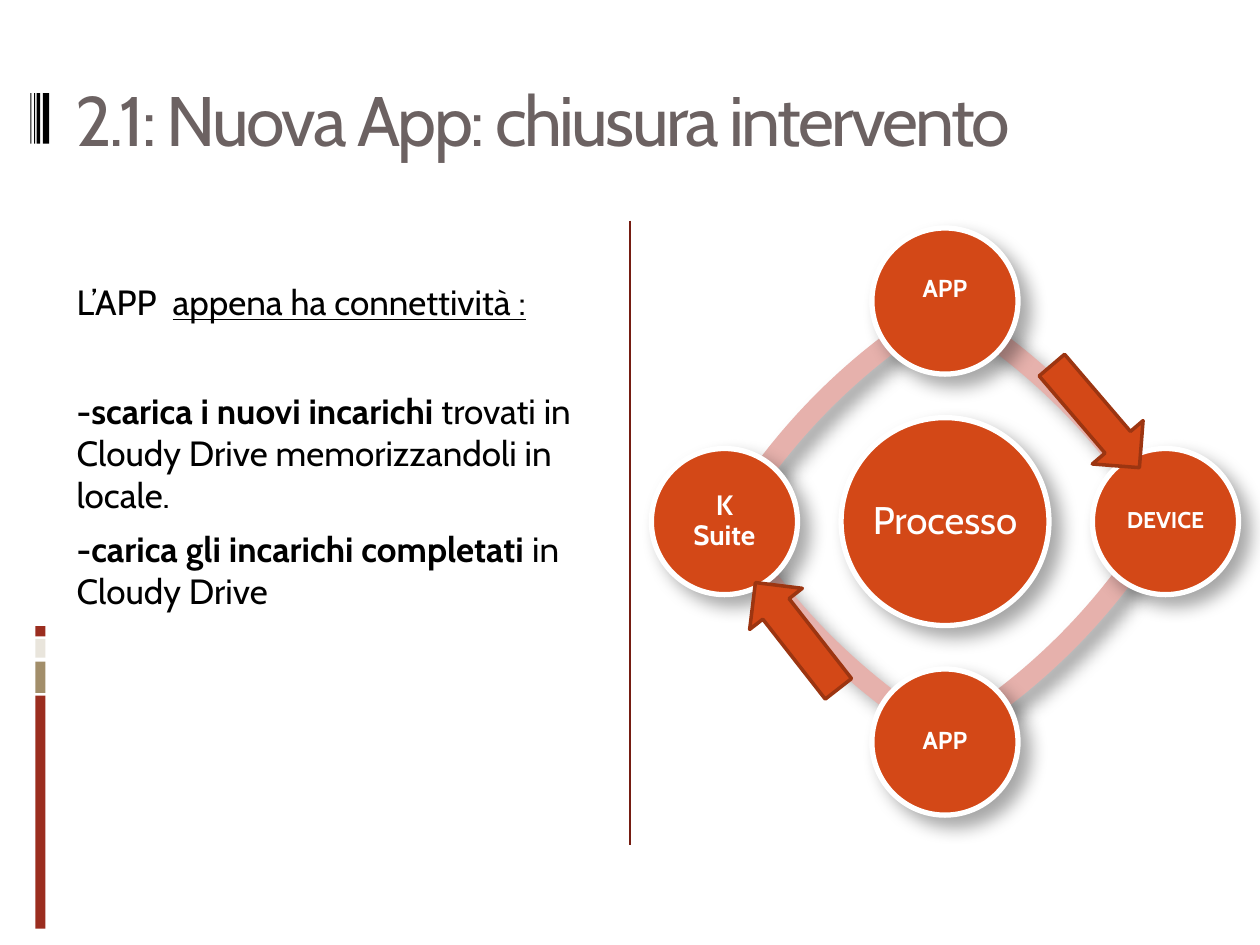
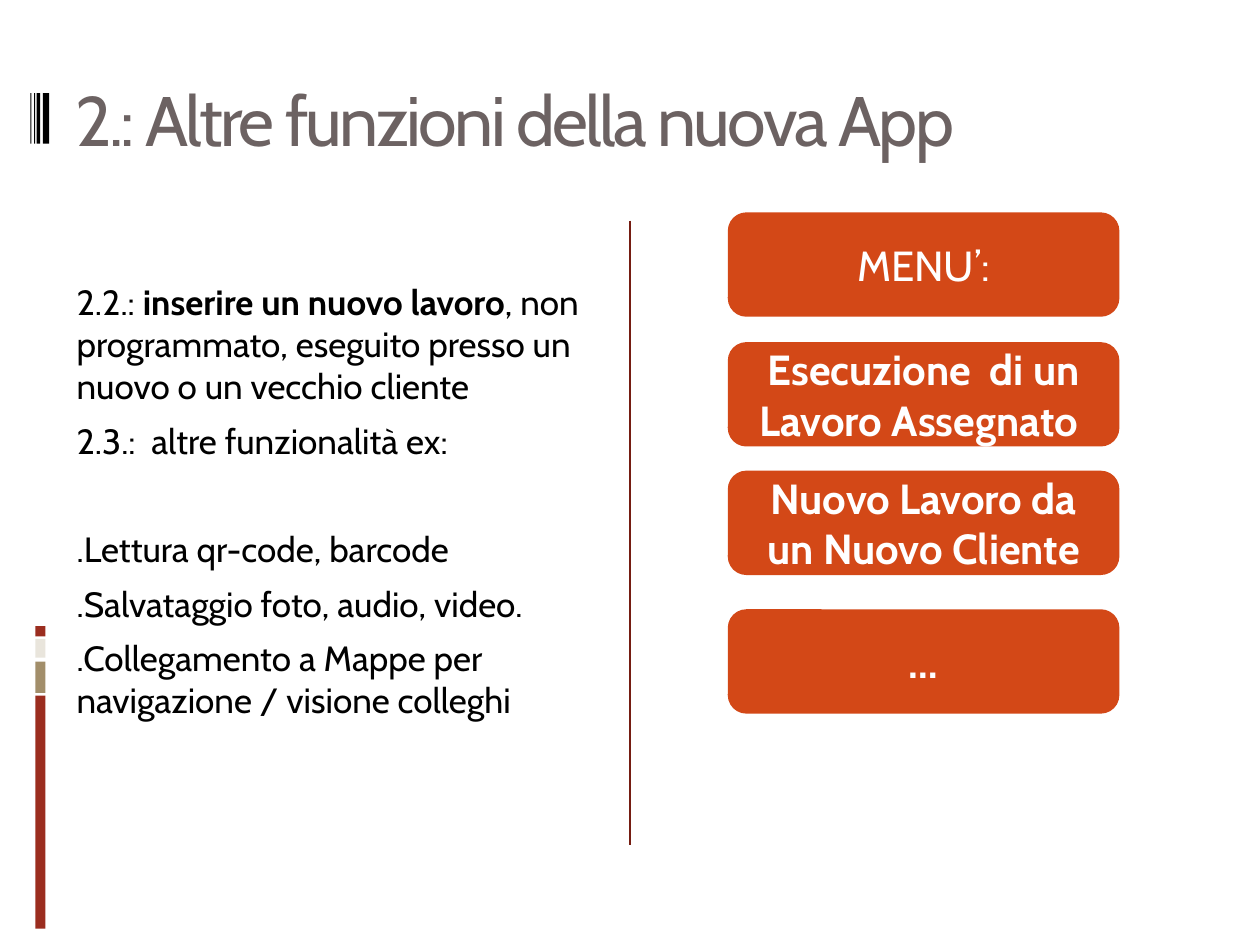
from dataclasses import dataclass
from math import cos, radians, sin

from lxml.etree import SubElement
from pptx import Presentation
from pptx.dml.color import RGBColor
from pptx.enum.shapes import MSO_CONNECTOR, MSO_SHAPE
from pptx.enum.text import MSO_ANCHOR, PP_ALIGN
from pptx.oxml.ns import qn
from pptx.util import Inches, Pt


@dataclass(frozen=True)
class Theme:
    font: str = "Cabin"
    title_color: str = "6C6262"
    text_color: str = "000000"
    white: str = "FFFFFF"
    accent: str = "D34817"
    accent_dark: str = "9C3511"
    ring: str = "E6B1AC"
    divider: str = "751D12"
    red: str = "9B2D1F"
    tan: str = "A28E6A"
    cream: str = "E9E5DC"
    title_size: int = 40
    body_size: int = 20
    menu_size: int = 24
    hub_size: int = 22
    paragraph_gap: int = 7
    blank_line_gap: int = 38


class Deck:
    """Holds the theme and the slide being built."""

    def __init__(self, theme):
        self.theme = theme
        self.presentation = Presentation()
        self.presentation.slide_width = Inches(10)
        self.presentation.slide_height = Inches(7.5)
        self.slide = None

    def new_slide(self, title):
        self.slide = self.presentation.slides.add_slide(self.presentation.slide_layouts[6])
        theme = self.theme
        # Coloured bars at the lower left: top, height, colour
        for top, height, color in [(5.52, 1.85, theme.red), (5.25, 0.25, theme.tan),
                                   (5.07, 0.15, theme.cream), (4.97, 0.08, theme.red)]:
            self.shape(MSO_SHAPE.RECTANGLE, 0.28, top, 0.08, height, color)
        # Black stripes beside the title: left, width
        for left, width in [(0.34, 0.05), (0.29, 0.03), (0.27, 0.01), (0.24, 0.01)]:
            self.shape(MSO_SHAPE.RECTANGLE, left, 0.74, width, 0.4, theme.text_color)
        self.line(5, 1.75, 5, 6.71, theme.divider, 0.75)
        self.title(title)

    def shape(self, kind, left, top, width, height, fill, line=None, line_width=2):
        shape = self.slide.shapes.add_shape(
            kind, Inches(left), Inches(top), Inches(width), Inches(height))
        shape.shadow.inherit = False
        shape.fill.solid()
        shape.fill.fore_color.rgb = RGBColor.from_string(fill)
        if line:
            shape.line.color.rgb = RGBColor.from_string(line)
            shape.line.width = Pt(line_width)
        else:
            shape.line.fill.background()
        return shape

    def line(self, left, top, right, bottom, color, width):
        connector = self.slide.shapes.add_connector(
            MSO_CONNECTOR.STRAIGHT, Inches(left), Inches(top), Inches(right), Inches(bottom))
        connector.line.color.rgb = RGBColor.from_string(color)
        connector.line.width = Pt(width)
        SubElement(connector.element.spPr, qn("a:effectLst"))

    def text_box(self, left, top, width, height):
        box = self.slide.shapes.add_textbox(
            Inches(left), Inches(top), Inches(width), Inches(height))
        box.text_frame.word_wrap = True
        return box

    def style(self, paragraph, size, color, bold=None):
        paragraph.font.name = self.theme.font
        paragraph.font.size = Pt(size)
        paragraph.font.color.rgb = RGBColor.from_string(color)
        paragraph.font.bold = bold

    def title(self, text):
        box = self.text_box(0.5, 0.23, 9, 1.42)
        box.text_frame.vertical_anchor = MSO_ANCHOR.MIDDLE
        paragraph = box.text_frame.paragraphs[0]
        paragraph.text = text
        self.style(paragraph, self.theme.title_size, self.theme.title_color)
        for run in box.element.iter(qn("a:r")):
            run.get_or_add_rPr().set("spc", "-150")

    def body(self, paragraphs):
        """Each paragraph is (gap before, [(text, run style), ...])."""
        frame = self.text_box(0.51, 2.18, 4.42, 4.52).text_frame
        for index, (gap, runs) in enumerate(paragraphs):
            paragraph = frame.add_paragraph() if index else frame.paragraphs[0]
            paragraph.space_before = Pt(gap)
            self.style(paragraph, self.theme.body_size, self.theme.text_color)
            for text, run_style in runs:
                run = paragraph.add_run()
                run.text = text
                if run_style == "bold":
                    run.font.bold = True
                elif run_style == "underline":
                    run.font.underline = True

    def label(self, shape, text, size, bold):
        frame = shape.text_frame
        frame.word_wrap = True
        frame.vertical_anchor = MSO_ANCHOR.MIDDLE
        paragraph = frame.paragraphs[0]
        paragraph.text = text
        paragraph.alignment = PP_ALIGN.CENTER
        self.style(paragraph, size, self.theme.white, bold)
        return frame

    def cast_shadow(self, shape):
        effects = shape.element.spPr.find(qn("a:effectLst"))
        shadow = SubElement(effects, qn("a:outerShdw"), blurRad=str(Pt(10.2)),
                            dist=str(Pt(8)), dir="2700000", algn="tl", rotWithShape="0")
        color = SubElement(shadow, qn("a:srgbClr"), val="000000")
        SubElement(color, qn("a:alpha"), val="35000")

    def circle(self, center_x, center_y, diameter, text, size, bold, inset, raise_by=0):
        shape = self.shape(MSO_SHAPE.OVAL, center_x - diameter / 2, center_y - diameter / 2,
                           diameter, diameter, self.theme.accent, self.theme.white, 3)
        self.cast_shadow(shape)
        frame = self.label(shape, text, size, bold)
        frame.margin_left = frame.margin_right = frame.margin_top = Pt(inset)
        frame.margin_bottom = Pt(inset + raise_by)
        frame.paragraphs[0].line_spacing = 0.9

    def ring_arc(self, center_x, center_y, start, end):
        diameter = 10.12
        arc = self.shape(MSO_SHAPE.BLOCK_ARC, center_x - diameter / 2, center_y - diameter / 2,
                         diameter, diameter, self.theme.ring)
        # Angles are stored in 60000ths of a degree, adjustments in 100000ths
        arc.adjustments[0] = start * 0.6
        arc.adjustments[1] = end * 0.6
        arc.adjustments[2] = 0.016
        self.cast_shadow(arc)

    def arrow(self, left, top, rotation):
        arrow = self.shape(MSO_SHAPE.RIGHT_ARROW, left, top, 1.07, 0.53,
                           self.theme.accent, self.theme.accent_dark)
        arrow.rotation = rotation

    def menu_button(self, top, text, bold):
        button = self.shape(MSO_SHAPE.ROUNDED_RECTANGLE, 5.79, top, 3.08, 0.8,
                            self.theme.accent, self.theme.accent)
        self.label(button, text, self.theme.menu_size, bold)


def build_process_slide(deck):
    theme = deck.theme
    deck.new_slide("2.1: Nuova App: chiusura intervento")
    deck.body([
        (0, [("L’APP  ", ""), ("appena ha connettività :", "underline")]),
        (theme.blank_line_gap, [("-scarica i nuovi incarichi ", "bold"),
                                ("trovati in Cloudy Drive memorizzandoli in locale.", "")]),
        (theme.paragraph_gap, [("-carica gli incarichi completati ", "bold"),
                               ("in Cloudy Drive", "")]),
    ])

    # Ring: each arc is centred diagonally across from the part it draws
    hub_x, hub_y, offset = 7.5, 4.14, 2.56
    for side_x, side_y, middle in [(1, 1, 225), (1, -1, 135), (-1, -1, 45), (-1, 1, 315)]:
        deck.ring_arc(hub_x + side_x * offset, hub_y + side_y * offset,
                      middle - 14.3, middle + 14.3)

    # Hub and its four steps, clockwise from the top
    deck.circle(hub_x, hub_y, 1.65, "Processo", theme.hub_size, False, 0)
    steps = [("APP", 14, 13), ("DEVICE", 13, 0), ("APP", 14, 0), ("K Suite", 16, 0)]
    for index, (text, size, raise_by) in enumerate(steps):
        angle = radians(90 * index - 90)
        deck.circle(hub_x + 1.75 * cos(angle), hub_y + 1.75 * sin(angle), 1.16,
                    text, size, True, size / 2, raise_by)

    # Direction arrows
    deck.arrow(8.16, 3.04, 49.5)
    deck.arrow(5.79, 4.78, 232)


def build_functions_slide(deck):
    gap = deck.theme.paragraph_gap
    deck.new_slide("2.: Altre funzioni della nuova App")
    deck.body([
        (0, [("2.2.: ", ""), ("inserire un nuovo lavoro", "bold"),
             (", non programmato, eseguito presso un nuovo o un vecchio cliente", "")]),
        (gap, [("2.3.:  altre funzionalità ex:", "")]),
        (deck.theme.blank_line_gap, [(".Lettura qr-code, barcode", "")]),
        (gap, [(".Salvataggio foto, audio, video.", "")]),
        (gap, [(".Collegamento a Mappe per navigazione / visione colleghi", "")]),
    ])

    # Menu buttons
    for top, text, bold in [(1.7, "MENU’:", False),
                            (2.73, "Esecuzione  di un Lavoro Assegnato ", True),
                            (3.75, "Nuovo Lavoro da un Nuovo Cliente", True),
                            (4.85, "…", True)]:
        deck.menu_button(top, text, bold)


def main():
    deck = Deck(Theme())
    build_process_slide(deck)
    build_functions_slide(deck)
    deck.presentation.save("out.pptx")


if __name__ == "__main__":
    main()
